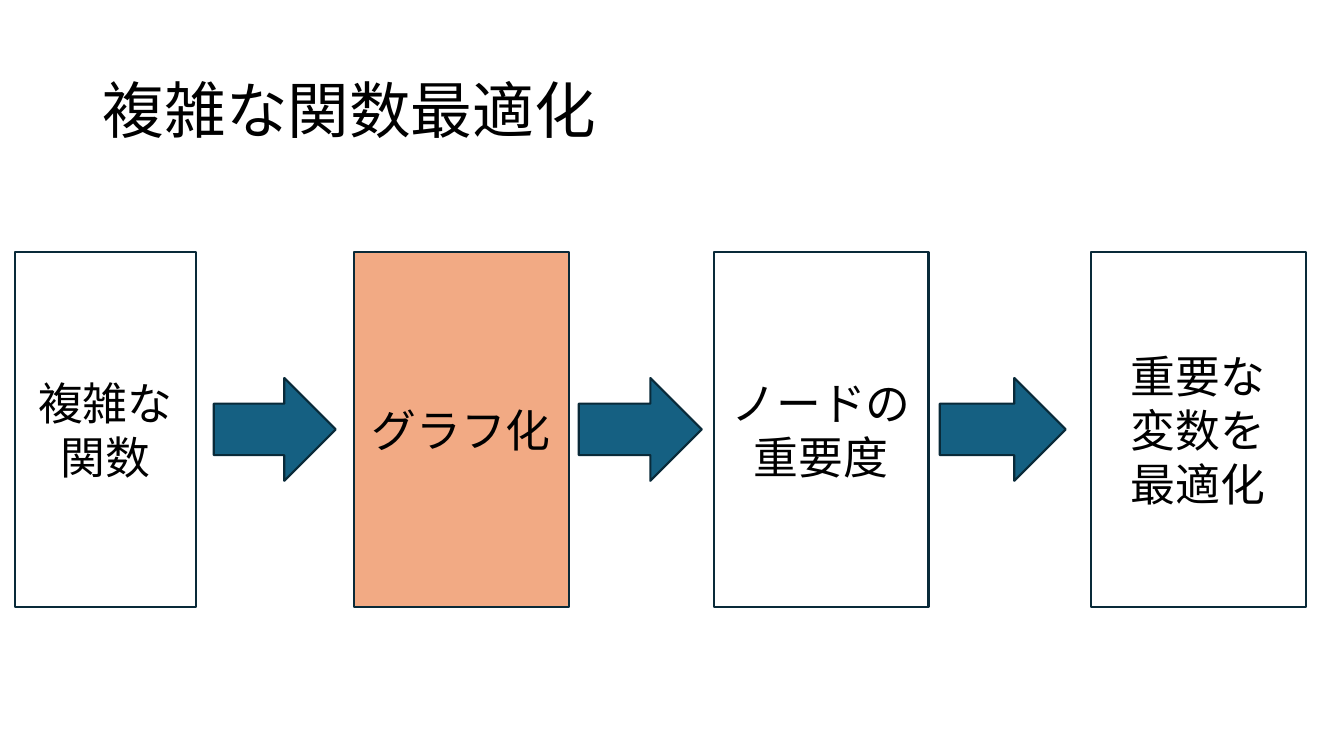
from lxml import etree
from pptx import Presentation
from pptx.dml.color import RGBColor
from pptx.enum import shapes, text
from pptx.oxml import ns
from pptx.util import Inches, Pt

FONT = "Noto Sans CJK JP"
COLORS = {"text": "000000", "edge": "092A39", "arrow": "156082", "focus": "F2AA84"}
TITLE = "複雑な関数最適化"
# left, width, fill, text
STEPS = [
    (0.15, 1.79, None, "複雑な関数"),
    (3.51, 2.13, "focus", "グラフ化"),
    (7.08, 2.13, None, "ノードの重要度"),
    (10.82, 2.13, None, "重要な\n変数を\n最適化"),
]
# left, width
ARROWS = [(2.12, 1.21), (5.74, 1.22), (9.32, 1.25)]
TOP, TALL, ARROW_TALL = 2.5, 3.52, 1.02


def color(name):
    return RGBColor.from_string(COLORS[name])


def write(frame, words, size, align):
    frame.text = words
    frame.word_wrap = True
    frame.vertical_anchor = text.MSO_ANCHOR.MIDDLE
    for para in frame.paragraphs:
        para.alignment = align
        for run in para.runs:
            run.font.size = Pt(size)
            run.font.name = FONT
            run.font.color.rgb = color("text")
            east = etree.SubElement(run.font._element, ns.qn("a:ea"))
            east.set("typeface", FONT)


def draw(slide, kind, left, width, height, fill):
    """Add a shape centred on the middle line of the steps."""
    top = TOP + (TALL - height) / 2
    shape = slide.shapes.add_shape(
        kind, Inches(left), Inches(top), Inches(width), Inches(height))
    shape.shadow.inherit = False
    if fill:
        shape.fill.solid()
        shape.fill.fore_color.rgb = color(fill)
    else:
        shape.fill.background()
    shape.line.color.rgb = color("edge")
    shape.line.width = Pt(1.5)
    return shape


def main():
    deck = Presentation()
    deck.slide_width, deck.slide_height = Inches(13.33), Inches(7.5)
    slide = deck.slides.add_slide(deck.slide_layouts[5])

    title = slide.shapes.title
    title.left, title.top = Inches(0.92), Inches(0.4)
    title.width, title.height = Inches(11.5), Inches(1.45)
    write(title.text_frame, TITLE, 44, text.PP_ALIGN.LEFT)
    title.text_frame.paragraphs[0].line_spacing = 0.9

    kinds = shapes.MSO_SHAPE
    for left, width, fill, words in STEPS:
        box = draw(slide, kinds.RECTANGLE, left, width, TALL, fill)
        write(box.text_frame, words, 32, text.PP_ALIGN.CENTER)
    for left, width in ARROWS:
        draw(slide, kinds.RIGHT_ARROW, left, width, ARROW_TALL, "arrow")

    deck.save("out.pptx")


if __name__ == "__main__":
    main()
